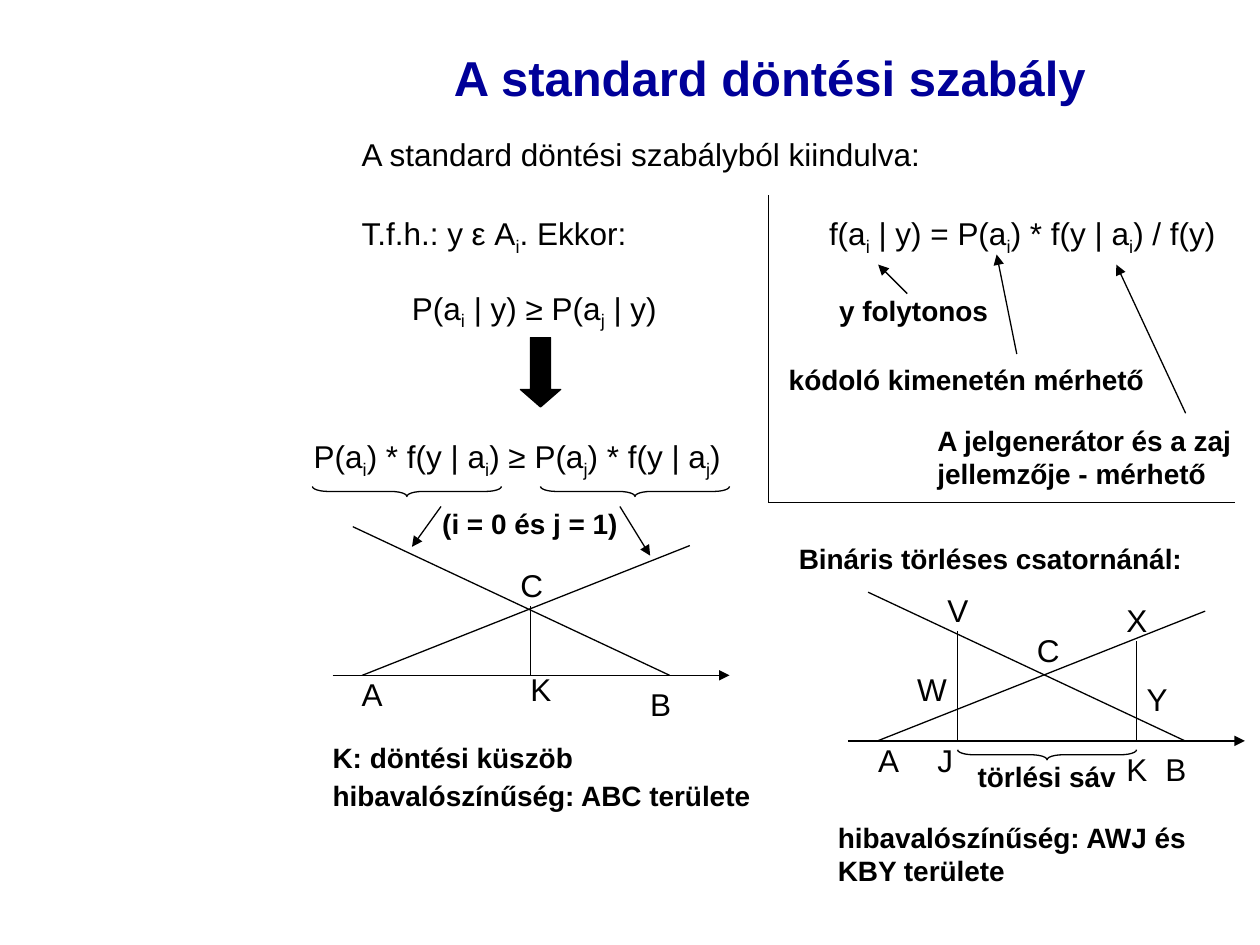
from lxml.etree import SubElement
from pptx import Presentation
from pptx.dml.color import RGBColor
from pptx.enum.shapes import MSO_CONNECTOR as Connector, MSO_SHAPE as Shape
from pptx.enum.text import MSO_ANCHOR as Anchor, MSO_AUTO_SIZE as AutoSize, PP_ALIGN as Align
from pptx.oxml.ns import qn
from pptx.util import Inches, Pt

COLUMNS, ROWS = 100, 75
BLACK, NAVY = "000000", "000099"
SUBSCRIPT_MARK = "~"
SLACK = 0.3

TITLE = "A standard döntési szabály"

FORMULAS = [
    ("A standard döntési szabályból kiindulva:", 28.7, 10.7, 44.5, 3.5),
    ("T.f.h.: y ε A~i~. Ekkor:", 28.7, 17, 21.3, 3.9),
    ("P(a~i~ | y) ≥ P(a~j~ | y)", 32.7, 22.9, 19.4, 3.9),
    ("P(a~i~) * f(y | a~i~) ≥ P(a~j~) * f(y | a~j~)", 24.9, 34.7, 33, 3.9),
    ("f(a~i~ | y) = P(a~i~) * f(y | a~i~) / f(y)", 65.8, 17, 30.7, 3.9),
]
NOTES = [
    ("y folytonos", 66.6, 23.3, 11.8, 3.2, False),
    ("kódoló kimenetén mérhető", 62.6, 28.8, 28.2, 3.2, False),
    ("A jelgenerátor és a zaj jellemzője - mérhető", 74.4, 33.6, 25.6, 5.8, True),
    ("(i = 0 és j = 1)", 35.1, 40.2, 13.9, 3.2, False),
    ("K: döntési küszöb\nhibavalószínűség: ABC területe", 26.4, 58.8, 33.3, 6.2, False),
    ("Bináris törléses csatornánál:", 63.4, 43, 30.4, 3.2, False),
    ("törlési sáv", 77.6, 60.3, 11, 3.2, False),
    ("hibavalószínűség: AWJ és KBY területe", 66.5, 65.1, 31.4, 5.8, True),
]
POINTERS = [
    (72, 23.3, 69.7, 21),
    (80.7, 28.1, 79.1, 20.2),
    (94.1, 32.8, 88.6, 21),
    (35, 40.2, 32.7, 43.4),
    (49.2, 40.2, 51.6, 44.1),
]
FRAME = [(61, 15.5, 61, 39.9), (61, 39.9, 98, 39.9)]
BRACES = [(24.8, 39.8, 38.6), (42.9, 57.9, 38.6), (76, 90.2, 59.5)]

AXIS = (0, 0, 31.5, 0)
DENSITIES = [(1.6, -11.8, 26.75, 0), (2.35, 0, 28.35, -10.3)]
DIAGRAMS = [
    {
        "start": (26.4, 53.6),
        "thresholds": [(15.7, -5.5)],
        "points": {"A": (2.3, 0), "B": (25.2, 0.8), "C": (14.9, -8.7), "K": (15.7, -0.4)},
    },
    {
        "start": (67.3, 58.8),
        "thresholds": [(8.7, -8.7), (22.9, -7.9)],
        "points": {
            "A": (2.4, 0), "B": (25.2, 0.7), "C": (15, -8.7), "J": (7.1, 0),
            "K": (22.1, 0.7), "V": (7.9, -11.9), "W": (5.5, -5.6),
            "X": (22.1, -11.1), "Y": (23.7, -4.8),
        },
    },
]

prs = Presentation()
prs.slide_width, prs.slide_height = Inches(10), Inches(7.5)
slide = prs.slides.add_slide(prs.slide_layouts[5])


def col(share):
    return int(prs.slide_width * share / COLUMNS)


def row(share):
    return int(prs.slide_height * share / ROWS)


def color(hex_value):
    return RGBColor.from_string(hex_value)


def cell(left, top, width, height):
    return col(left), row(top), col(width), row(height)


def write(frame, text, size=18, bold=False, ink=BLACK, align=Align.LEFT, gap=0):
    for index, line in enumerate(text.split("\n")):
        paragraph = frame.add_paragraph() if index else frame.paragraphs[0]
        paragraph.alignment = align
        paragraph.space_before = Pt(gap if index else 0)
        for part, piece in enumerate(line.split(SUBSCRIPT_MARK)):
            run = paragraph.add_run()
            run.text = piece
            run.font.name, run.font.size, run.font.bold = "Arial", Pt(size), bold
            run.font.color.rgb = color(ink)
            if part % 2:
                run.font._element.set("baseline", "-25000")


def label(text, left, top, width, height, wrap=False, **style):
    room = width if wrap else width + SLACK
    frame = slide.shapes.add_textbox(*cell(left, top, room, height)).text_frame
    frame.margin_left = frame.margin_right = frame.margin_top = 0
    frame.margin_bottom = Inches(0.05)
    frame.word_wrap = wrap
    frame.auto_size = AutoSize.SHAPE_TO_FIT_TEXT
    write(frame, text, **style)


def stroke(outline):
    outline.color.rgb = color(BLACK)
    outline.width = Pt(0.75)


def segment(x1, y1, x2, y2, arrow=False):
    line = slide.shapes.add_connector(Connector.STRAIGHT, col(x1), row(y1), col(x2), row(y2))
    stroke(line.line)
    properties = line._element.spPr
    if arrow:
        SubElement(properties.find(qn("a:ln")), qn("a:tailEnd"), type="triangle")
    SubElement(properties, qn("a:effectLst"))


def brace(start, end, top, depth=0.8):
    length = end - start
    left = (start + end - depth) / 2
    shape = slide.shapes.add_shape(
        Shape.LEFT_BRACE, *cell(left, top + (depth - length) / 2, depth, length))
    shape.rotation = 270
    shape.adjustments[0] = 1.56
    shape.shadow.inherit = False
    shape.fill.background()
    stroke(shape.line)


title = slide.shapes.title
title.left, title.top, title.width, title.height = cell(27.2, 3, 67.8, 6.2)
title.text_frame.vertical_anchor = Anchor.MIDDLE
write(title.text_frame, TITLE, size=28, bold=True, ink=NAVY, align=Align.CENTER)

for formula in FORMULAS:
    label(*formula)
for note in NOTES:
    label(*note, size=16, bold=True, gap=2.5)
for pointer in POINTERS:
    segment(*pointer, arrow=True)
for edge in FRAME:
    segment(*edge)
for span in BRACES:
    brace(*span)

implication = slide.shapes.add_shape(Shape.DOWN_ARROW, *cell(41.3, 26.8, 3.2, 5.5))
implication.adjustments[0], implication.adjustments[1] = 0.5, 0.435
implication.shadow.inherit = False
implication.fill.solid()
implication.fill.fore_color.rgb = color(BLACK)
stroke(implication.line)

for diagram in DIAGRAMS:
    x, y = diagram["start"]
    drops = [(dx, dy, dx, 0) for dx, dy in diagram["thresholds"]]
    for x1, y1, x2, y2 in [AXIS, *DENSITIES, *drops]:
        segment(x + x1, y + y1, x + x2, y + y2, arrow=(x1, y1, x2, y2) == AXIS)
    for point, (dx, dy) in diagram["points"].items():
        label(point, x + dx, y + dy, {"J": 1.3, "W": 2.4}.get(point, 1.7), 3.5)

prs.save("out.pptx")
